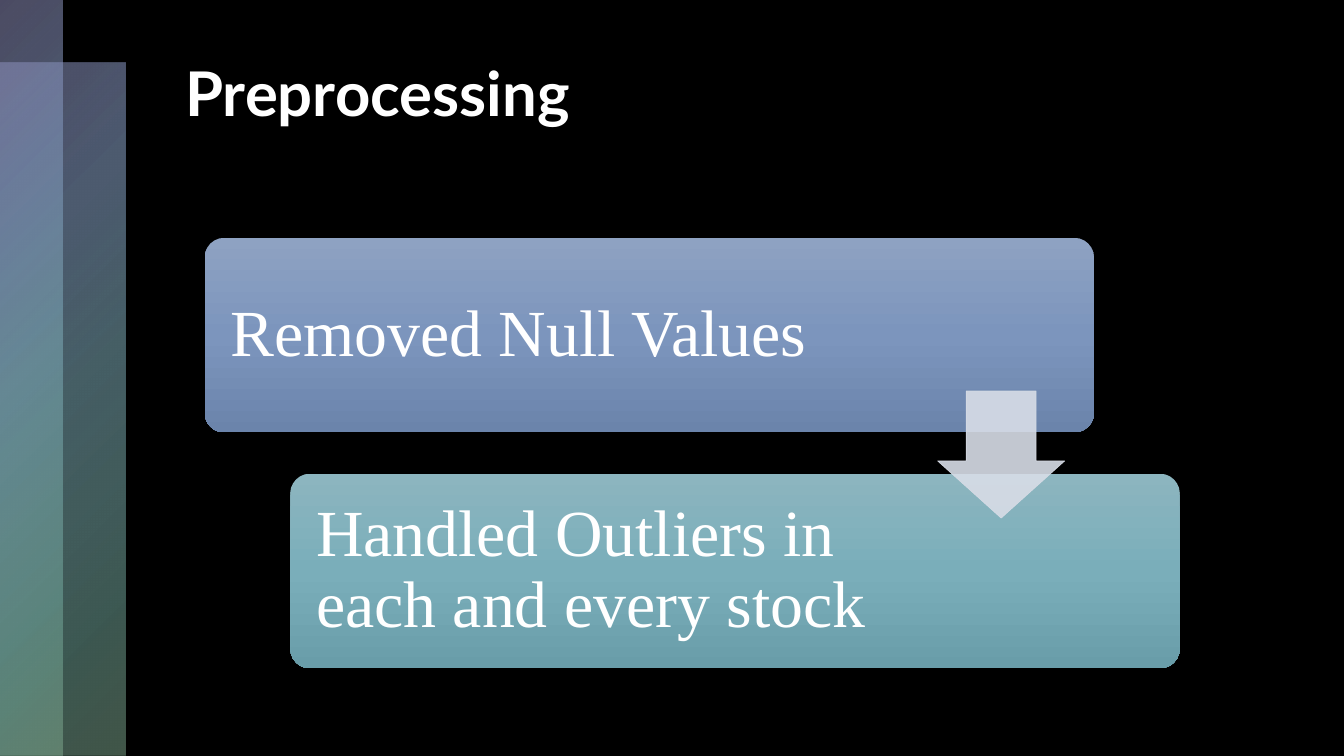
from lxml.etree import SubElement
from pptx import Presentation
from pptx.dml.color import RGBColor
from pptx.enum.shapes import MSO_SHAPE
from pptx.enum.text import MSO_ANCHOR
from pptx.oxml.ns import qn
from pptx.util import Inches, Pt

WIDTH, HEIGHT = 13.33, 7.5
BAND = 0.62
CARD_WIDTH, CARD_HEIGHT = 8.82, 1.93
STEP_RIGHT, STEP_DOWN = 0.85, 2.34

BAND_STOPS = [(0, "9796C6", 50), (25, "7F96BA", 60), (50, "7DACB7", 55),
              (81, "78AFA3", 50), (99, "83AE92", 50)]
STEPS = [
    ("Removed Null Values", 6.82, ["8EA2C2", "7C95BD", "6B84AB"]),
    ("Handled Outliers in each and every stock", 5.89, ["8CB5BF", "7AAEBA", "699DA9"]),
]


def color(value):
    return RGBColor.from_string(value)


def set_opacity(color_element, percent):
    SubElement(color_element, qn("a:alpha"), val=str(percent * 1000))


def set_gradient(shape, stops, radial=False):
    """Fill with (position, colour, opacity) stops, from the top or the top left corner."""
    shape.fill.gradient()
    gradient = shape._element.spPr.find(qn("a:gradFill"))
    for child in list(gradient):
        gradient.remove(child)
    stop_list = SubElement(gradient, qn("a:gsLst"))
    for position, value, opacity in stops:
        stop = SubElement(stop_list, qn("a:gs"), pos=str(position * 1000))
        set_opacity(SubElement(stop, qn("a:srgbClr"), val=value), opacity)
    if radial:
        path = SubElement(gradient, qn("a:path"), path="circle")
        SubElement(path, qn("a:fillToRect"), r="100000", b="100000")
    else:
        SubElement(gradient, qn("a:lin"), ang="5400000", scaled="0")


def add_plain_shape(slide, kind, box, adjustments=()):
    shape = slide.shapes.add_shape(kind, *map(Inches, box))
    shape.shadow.inherit = False
    shape.line.fill.background()
    for index, value in enumerate(adjustments):
        shape.adjustments[index] = value
    return shape


def add_text(slide, box, text, font_name, size, bold=False, inset=None):
    """Place white text; with an inset it is centred vertically."""
    frame = slide.shapes.add_textbox(*map(Inches, box)).text_frame
    frame.word_wrap = True
    frame.text = text
    para = frame.paragraphs[0]
    if inset is not None:
        frame.vertical_anchor = MSO_ANCHOR.MIDDLE
        frame.margin_left = frame.margin_right = Inches(inset)
        frame.margin_top = frame.margin_bottom = Inches(inset)
        para.line_spacing = 0.9
    font = para.runs[0].font
    font.name, font.size, font.bold = font_name, Pt(size), bold
    font.color.rgb = color("FFFFFF")


def add_side_bands(slide):
    for box in ((0, BAND, 2 * BAND, HEIGHT - BAND), (0, 0, BAND, HEIGHT)):
        band = add_plain_shape(slide, MSO_SHAPE.RECTANGLE, box)
        set_gradient(band, BAND_STOPS, radial=True)


def add_step_card(slide, left, top, text, text_width, shades):
    box = (left, top, CARD_WIDTH, CARD_HEIGHT)
    card = add_plain_shape(slide, MSO_SHAPE.ROUNDED_RECTANGLE, box, [0.1])
    set_gradient(card, [(50 * i, shade, 100) for i, shade in enumerate(shades)])
    edge = 0.055
    text_box = (left + edge, top + edge, text_width, CARD_HEIGHT - 2 * edge)
    add_text(slide, text_box, text, "Times New Roman", 47, inset=0.2)


def add_step_arrow(slide, left, top, size):
    arrow = add_plain_shape(slide, MSO_SHAPE.DOWN_ARROW, (left, top, size, size), [0.55, 0.45])
    arrow.line.width = Pt(0.5)
    for fill in (arrow.fill, arrow.line.fill):
        fill.solid()
        fill.fore_color.rgb = color("D8DDE7")
    for element in arrow._element.spPr.iter(qn("a:srgbClr")):
        set_opacity(element, 90)


def add_step_process(slide, left, top):
    for index, step in enumerate(STEPS):
        add_step_card(slide, left + index * STEP_RIGHT, top + index * STEP_DOWN, *step)
    add_step_arrow(slide, left + 7.27, top + 1.52, 1.26)


def main():
    deck = Presentation()
    deck.slide_width, deck.slide_height = Inches(WIDTH), Inches(HEIGHT)
    slide = deck.slides.add_slide(deck.slide_layouts[6])
    slide.background.fill.solid()
    slide.background.fill.fore_color.rgb = color("000000")
    add_side_bands(slide)
    add_text(slide, (1.74, 0.5, 10.37, 1.7), "Preprocessing", "Lato", 44, bold=True)
    add_step_process(slide, 2.03, 2.36)
    deck.save("out.pptx")


if __name__ == "__main__":
    main()
